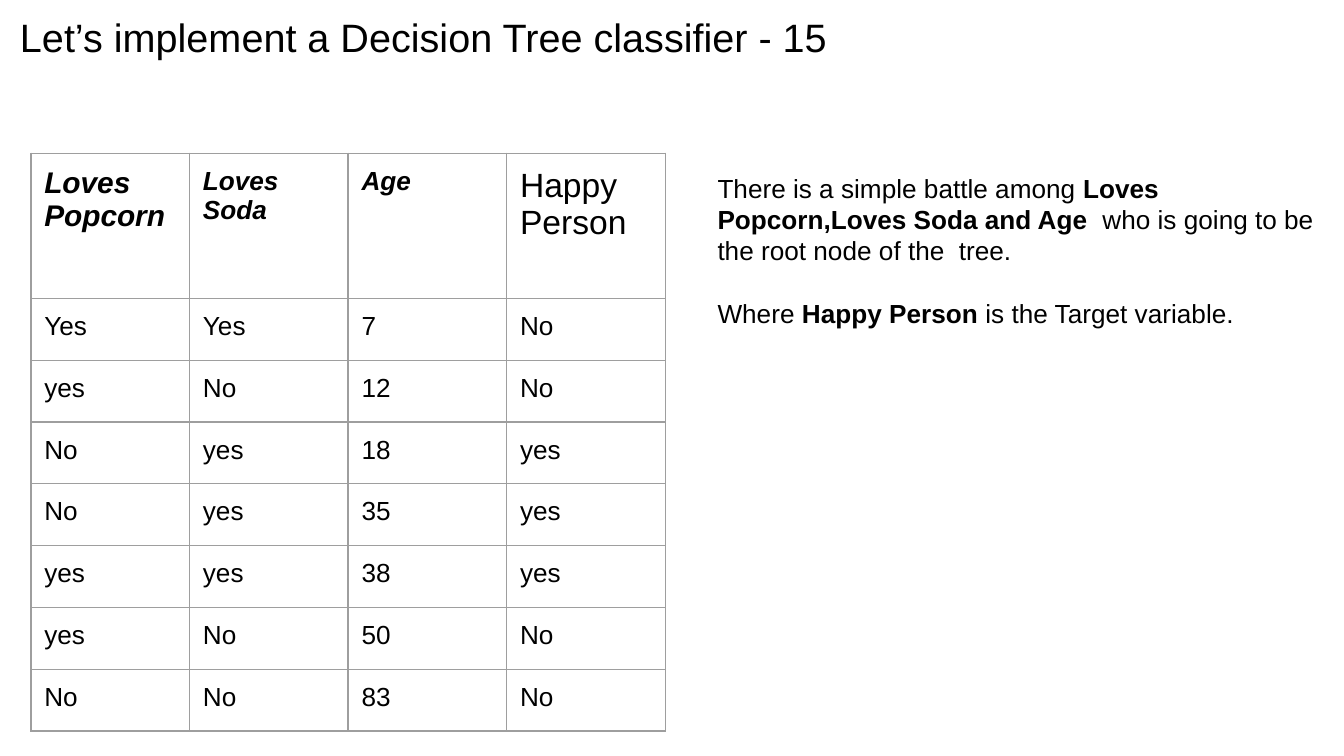
from lxml.etree import SubElement
from pptx import Presentation
from pptx.dml.color import RGBColor
from pptx.oxml.ns import qn
from pptx.util import Inches, Pt

BLACK = RGBColor(0x00, 0x00, 0x00)
GRAY = RGBColor(0x9E, 0x9E, 0x9E)
HEADERS = [
    ("Loves Popcorn", 16, True),
    ("Loves Soda", 14, True),
    ("Age", 14, True),
    ("Happy Person", 18, False),
]
PEOPLE = [
    ("Yes", "Yes", "7", "No"),
    ("yes", "No", "12", "No"),
    ("No", "yes", "18", "yes"),
    ("No", "yes", "35", "yes"),
    ("yes", "yes", "38", "yes"),
    ("yes", "No", "50", "No"),
    ("No", "No", "83", "No"),
]
EXPLANATION = [
    [
        ("There is a simple battle among ", False),
        ("Loves Popcorn,Loves Soda and Age ", True),
        (" who is going to be the root node of the  tree.", False),
    ],
    [
        ("Where ", False),
        ("Happy Person", True),
        (" is the Target variable.", False),
    ],
]


class SlideBuilder:
    font = "Arial"
    body_size = 14
    inset = Inches(0.1)

    def __init__(self, slide):
        self.slide = slide

    def run(self, paragraph, text, size=body_size, bold=False, italic=False):
        run = paragraph.add_run()
        run.text = text
        run.font.name = self.font
        run.font.size = Pt(size)
        run.font.bold = bold
        run.font.italic = italic
        run.font.color.rgb = BLACK

    def set_insets(self, holder):
        holder.margin_left = holder.margin_right = self.inset
        holder.margin_top = holder.margin_bottom = self.inset

    def text(self, left, top, width, height, paragraphs, size=body_size, gap=0):
        box = self.slide.shapes.add_textbox(
            Inches(left), Inches(top), Inches(width), Inches(height))
        frame = box.text_frame
        frame.word_wrap = True
        self.set_insets(frame)
        for index, pieces in enumerate(paragraphs):
            paragraph = frame.add_paragraph() if index else frame.paragraphs[0]
            paragraph.line_spacing = 1.0
            paragraph.space_before = Pt(gap if index else 0)
            for piece, bold in pieces:
                self.run(paragraph, piece, size, bold)

    def cell(self, cell, text, size=body_size, emphasis=False):
        self.set_insets(cell)
        self.run(cell.text_frame.paragraphs[0], text, size, emphasis, emphasis)
        properties = cell._tc.get_or_add_tcPr()
        for side in ("a:lnL", "a:lnR", "a:lnT", "a:lnB"):
            line = SubElement(properties, qn(side), w=str(Pt(0.75)))
            fill = SubElement(line, qn("a:solidFill"))
            SubElement(fill, qn("a:srgbClr"), val=str(GRAY))
        cell.fill.background()

    def table(self, left, top, column_width, header_height, row_height,
              headers, rows):
        height = header_height + row_height * len(rows)
        table = self.slide.shapes.add_table(
            len(rows) + 1, len(headers), Inches(left), Inches(top),
            Inches(column_width * len(headers)), Inches(height)).table
        table.first_row = False
        table.horz_banding = False
        for column in table.columns:
            column.width = Inches(column_width)
        for index, row in enumerate(table.rows):
            row.height = Inches(row_height if index else header_height)
        for column, header in enumerate(headers):
            self.cell(table.cell(0, column), *header)
        for row, values in enumerate(rows, 1):
            for column, value in enumerate(values):
                self.cell(table.cell(row, column), value)


def main():
    presentation = Presentation()
    presentation.slide_width = Inches(10)
    presentation.slide_height = Inches(10 * 9 / 16)
    slide = presentation.slides.add_slide(presentation.slide_layouts[6])
    builder = SlideBuilder(slide)
    builder.text(0.05, 0, 9.32, 0.63,
                 [[("Let’s implement a Decision Tree classifier - 15", False)]],
                 size=21.2)
    builder.table(0.23, 1.14, 1.18, 1.08, 0.46, HEADERS, PEOPLE)
    builder.text(5.24, 1.18, 4.72, 1.83, EXPLANATION, gap=17)
    presentation.save("out.pptx")


if __name__ == "__main__":
    main()
